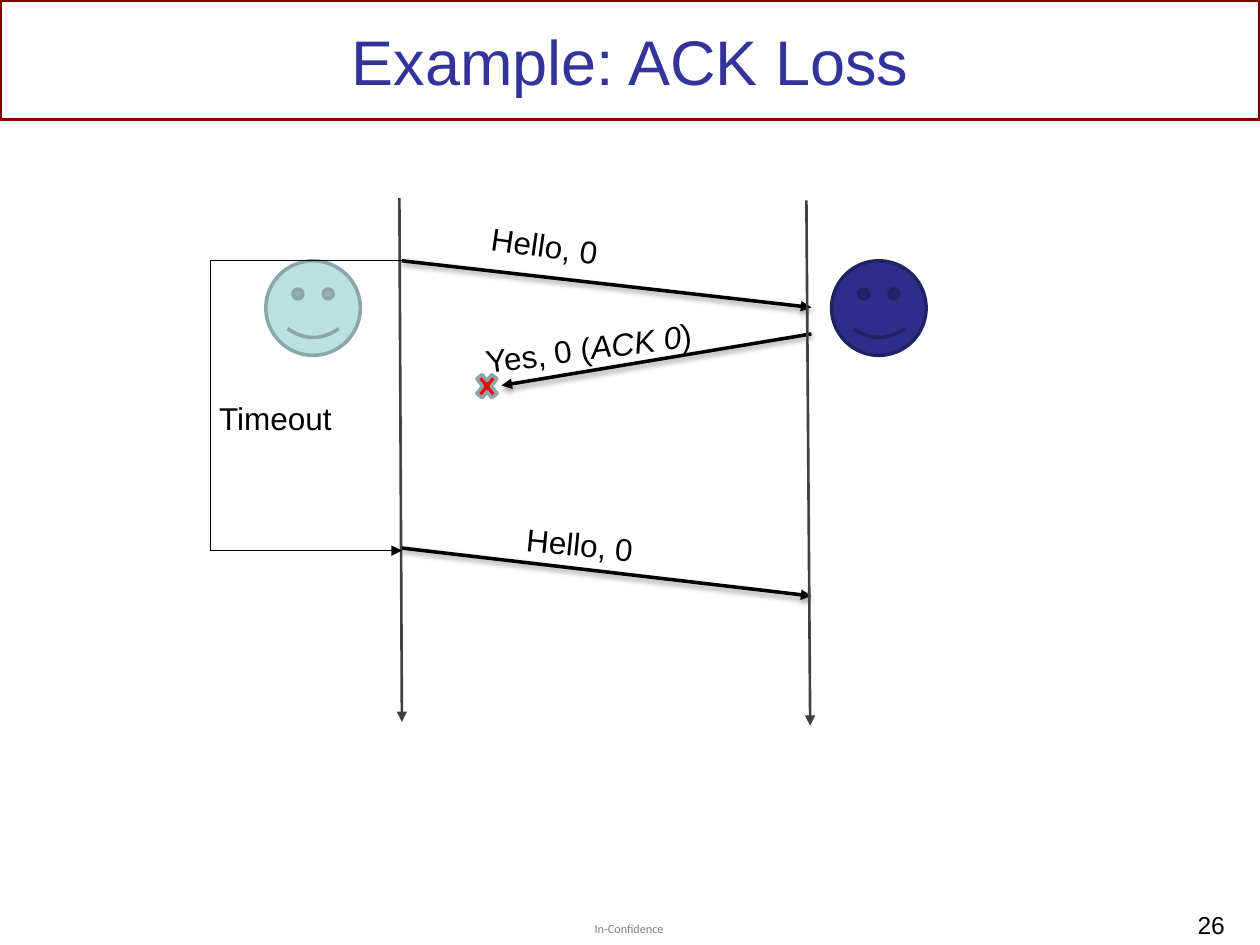
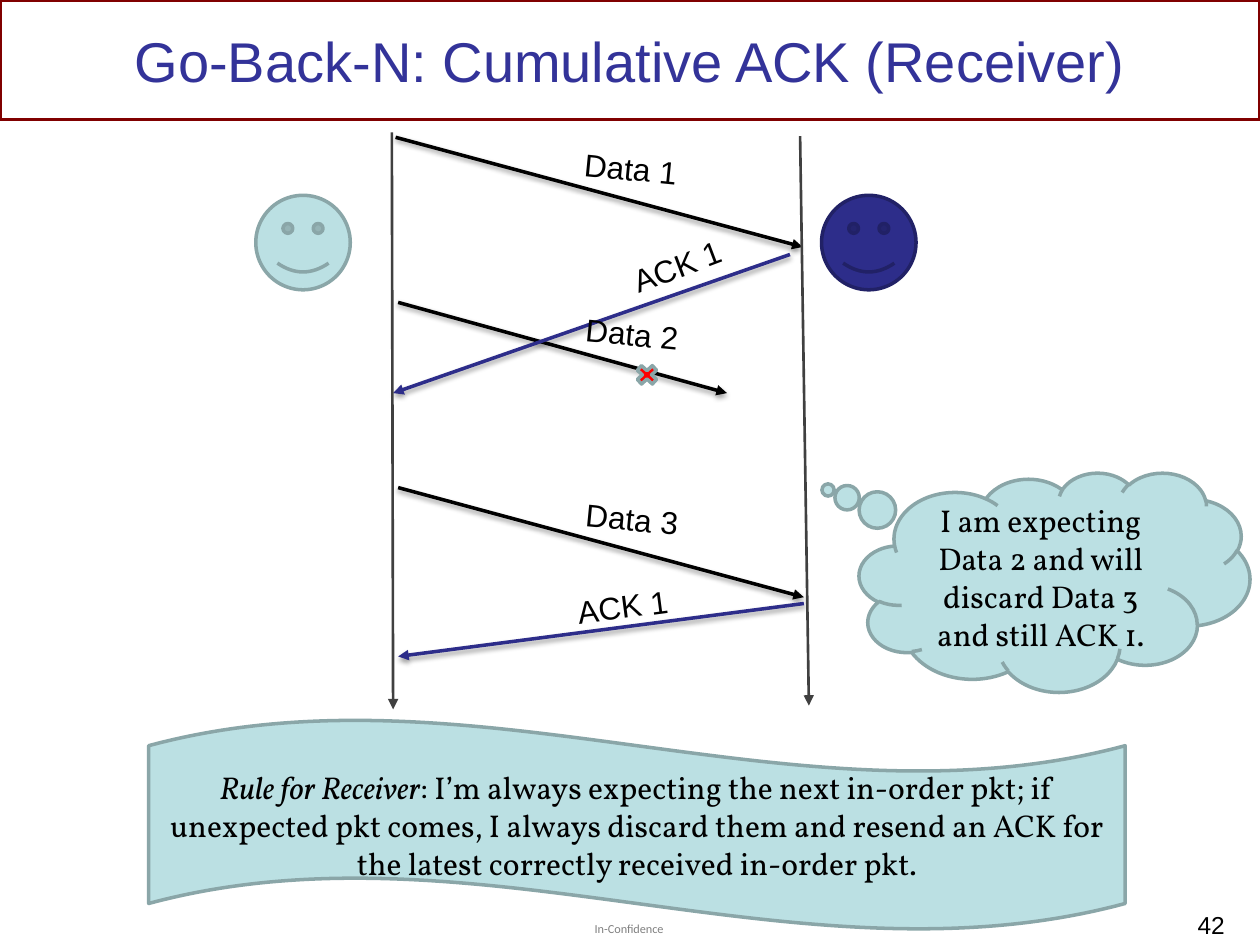
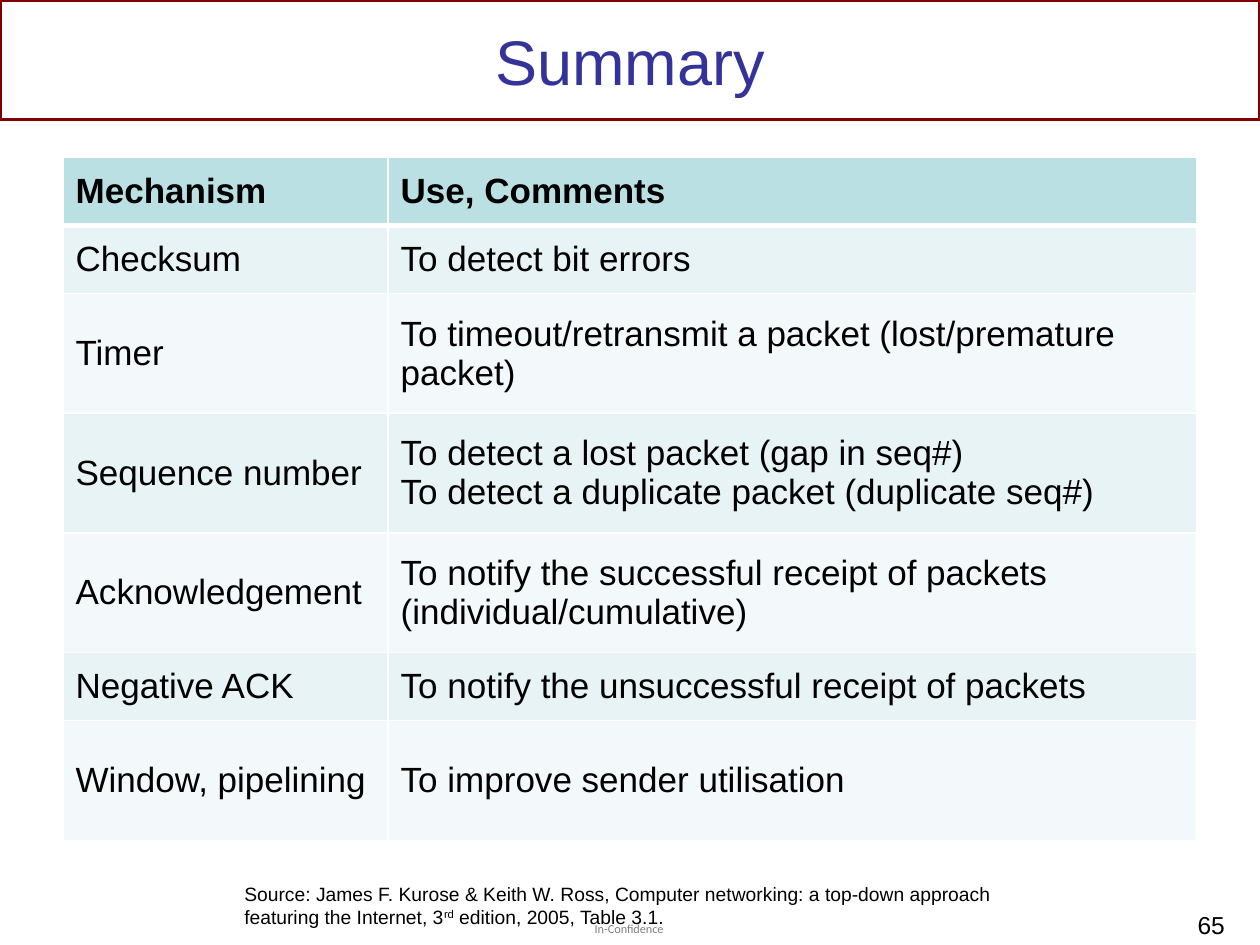
from lxml.etree import SubElement
from pptx import Presentation
from pptx.dml.color import RGBColor
from pptx.enum.shapes import MSO_CONNECTOR, MSO_SHAPE
from pptx.enum.text import MSO_ANCHOR, PP_ALIGN
from pptx.oxml import parse_xml
from pptx.oxml.ns import nsdecls, qn
from pptx.util import Inches, Pt

BLACK = RGBColor(0x00, 0x00, 0x00)
WHITE = RGBColor(0xFF, 0xFF, 0xFF)
GREY = RGBColor(0x80, 0x80, 0x80)
DARK = RGBColor(0x40, 0x40, 0x40)
MAROON = RGBColor(0x80, 0x00, 0x00)
INDIGO = RGBColor(0x33, 0x33, 0x99)
NAVY = RGBColor(0x2D, 0x2D, 0x8A)
NAVY_EDGE = RGBColor(0x21, 0x21, 0x66)
TEAL = RGBColor(0xBB, 0xE0, 0xE3)
TEAL_EDGE = RGBColor(0x8A, 0xA6, 0xA8)
RED = RGBColor(0xFF, 0x00, 0x00)
BANDS = (RGBColor(0xE7, 0xF3, 0xF4), RGBColor(0xF3, 0xF9, 0xFA))

FACE = 0.75

# Content: messages are (from, to, colour), labels are (runs, box, turn)
LOSS = {
    "faces": [(2.11, 2.07, TEAL, TEAL_EDGE), (6.6, 2.07, NAVY, NAVY_EDGE)],
    "messages": [
        ((3.19, 2.07), (6.44, 2.44), BLACK),
        ((6.44, 2.65), (3.98, 3.06), BLACK),
        ((3.19, 4.35), (6.44, 4.73), BLACK),
    ],
    "labels": [
        ([("Hello, 0", "")], (3.8, 1.75, 1.06, 0.4), 8.3),
        ([("Yes, 0 (", ""), ("ACK 0", "italic"), (")", "")],
         (3.75, 2.56, 1.86, 0.4), -7.6),
        ([("Hello, 0", "")], (4.08, 4.12, 1.06, 0.4), 5.7),
        ([("Timeout", "")], (1.64, 3.12, 1.1, 0.4), 0),
    ],
    "cross": (3.75, 2.92, 0.23, 0.29),
    "times": [((3.17, 1.57), (3.19, 5.73)), ((6.4, 1.59), (6.43, 5.76))],
}
WAIT = [(3.19, 2.07), (1.67, 2.07), (1.67, 4.37), (3.19, 4.37)]

GOBACK = {
    "faces": [(2.03, 1.55, TEAL, TEAL_EDGE), (6.52, 1.55, NAVY, NAVY_EDGE)],
    "messages": [
        ((3.14, 1.09), (6.37, 1.96), BLACK),
        ((3.16, 2.4), (5.77, 3.12), BLACK),
        ((3.16, 3.87), (6.38, 4.74), BLACK),
        ((6.38, 4.79), (3.16, 5.21), NAVY),
        ((6.27, 2.02), (3.12, 3.12), NAVY),
    ],
    "labels": [
        ([("Data 1", "")], (4.54, 1.14, 1, 0.4), 5.7),
        ([("Data 2", "")], (4.55, 2.45, 1, 0.4), 5.7),
        ([("Data 3", "")], (4.55, 3.92, 1, 0.4), 5.7),
        ([("ACK 1", "")], (4.48, 4.59, 1.27, 0.4), -7.5),
        ([("ACK 1", "")], (4.9, 1.85, 1.27, 0.4), -20.7),
    ],
    "cross": (5.02, 2.87, 0.23, 0.21),
    "times": [((3.11, 1.05), (3.12, 5.63)), ((6.35, 1.08), (6.42, 5.6))],
}
THOUGHT = [("I am expecting Data 2 and will discard Data 3 and still ACK 1.", "")]
RULE = [
    ("Rule for Receiver", "italic"),
    (": I’m always expecting the next in-order pkt; if unexpected pkt comes, "
     "I always discard them and resend an ACK for the latest correctly "
     "received in-order pkt.", ""),
]

COLS = (2.58, 6.42)
ROWS = [
    (0.54, "Mechanism", "Use, Comments"),
    (0.54, "Checksum", "To detect bit errors"),
    (0.95, "Timer", "To timeout/retransmit a packet (lost/premature packet)"),
    (0.95, "Sequence number", "To detect a lost packet (gap in seq#)\n"
                              "To detect a duplicate packet (duplicate seq#)"),
    (0.95, "Acknowledgement", "To notify the successful receipt of packets "
                              "(individual/cumulative)"),
    (0.54, "Negative ACK", "To notify the unsuccessful receipt of packets"),
    (0.95, "Window, pipelining", "To improve sender utilisation"),
]
SOURCE = [
    ("Source: James F. Kurose & Keith W. Ross, Computer networking: a top-down "
     "approach featuring the Internet, 3", ""),
    ("rd", "super"),
    (" edition, 2005, Table 3.1.", ""),
]


def inch(values):
    return [Inches(v) for v in values]


def style(font, size, color=BLACK, name="Arial", bold=False):
    looks = {"size": Pt(size), "name": name, "bold": bold}
    for key, value in looks.items():
        setattr(font, key, value)
    font.color.rgb = color


def write(frame, runs, size, align=PP_ALIGN.LEFT, **looks):
    para = frame.paragraphs[0]
    para.alignment = align
    for text, kind in runs:
        run = para.add_run()
        run.text = text
        style(run.font, size, **looks)
        if kind == "italic":
            run.font.italic = True
        elif kind == "super":
            run.font._element.set("baseline", "30000")
    return para


def add_text(slide, box, runs, size, wrap=True, turn=0, inset=None, **looks):
    shape = slide.shapes.add_textbox(*inch(box))
    shape.rotation = turn
    frame = shape.text_frame
    frame.word_wrap = wrap
    if inset is not None:
        for side in ("left", "top", "right", "bottom"):
            setattr(frame, "margin_" + side, Inches(inset))
    return write(frame, runs, size, **looks)


def add_shape(slide, kind, box, fill, edge):
    shape = slide.shapes.add_shape(kind, *inch(box))
    shape.shadow.inherit = False
    if fill is None:
        shape.fill.background()
    else:
        shape.fill.solid()
        shape.fill.fore_color.rgb = fill
    shape.line.color.rgb = edge
    shape.line.width = Pt(2)
    return shape


def add_line(slide, start, end, color, width, arrow=True, shadow=False):
    line = slide.shapes.add_connector(MSO_CONNECTOR.STRAIGHT, *inch(start + end))
    line.line.color.rgb = color
    line.line.width = Pt(width)
    if arrow:
        SubElement(line.line._get_or_add_ln(), qn("a:tailEnd"), type="triangle")
    effect = SubElement(line._element.spPr, qn("a:effectLst"))
    if shadow:
        drop = SubElement(effect, qn("a:outerShdw"), blurRad=str(Pt(3.1)),
                          dist=str(Pt(1.6)), dir="5400000", rotWithShape="0")
        tone = SubElement(drop, qn("a:srgbClr"), val=str(BLACK))
        SubElement(tone, qn("a:alpha"), val="38000")


def add_slide(deck, title, number, box=(0.5, 0.08, 9, 0.79), size=36):
    slide = deck.slides.add_slide(deck.slide_layouts[5])
    add_shape(slide, MSO_SHAPE.RECTANGLE, (0, 0, 10, 0.95), None, MAROON)
    add_text(slide, (4.72, 7.31, 0.57, 0.12), [("In-Confidence", "")], 7,
             wrap=False, inset=0, color=GREY, name="Calibri")
    add_text(slide, (7.62, 7.17, 2.2, 0.3), [(number, "")], 14,
             align=PP_ALIGN.RIGHT)
    head = slide.shapes.title
    head.left, head.top, head.width, head.height = inch(box)
    head.text_frame.vertical_anchor = MSO_ANCHOR.MIDDLE
    write(head.text_frame, [(title, "")], size, PP_ALIGN.CENTER, color=INDIGO)
    return slide


def draw_flow(slide, flow):
    for left, top, fill, edge in flow["faces"]:
        add_shape(slide, MSO_SHAPE.SMILEY_FACE, (left, top, FACE, FACE), fill, edge)
    for start, end, color in flow["messages"]:
        add_line(slide, start, end, color, 2, shadow=True)
    for runs, box, turn in flow["labels"]:
        add_text(slide, box, runs, 18, wrap=False, turn=turn)
    add_shape(slide, MSO_SHAPE.MATH_MULTIPLY, flow["cross"], RED, TEAL_EDGE)
    for start, end in flow["times"]:
        add_line(slide, start, end, DARK, 1.5)


def add_note(slide, kind, box, runs):
    note = add_shape(slide, kind, box, TEAL, TEAL_EDGE)
    note.text_frame.word_wrap = True
    note.text_frame.vertical_anchor = MSO_ANCHOR.MIDDLE
    write(note.text_frame, runs, 18, PP_ALIGN.CENTER, name="Vollkorn")
    return note


def set_edges(cell, top, bottom):
    props = cell._tc.get_or_add_tcPr()
    widths = {"lnL": 1, "lnR": 1, "lnT": top, "lnB": bottom}
    for spot, (tag, width) in enumerate(widths.items()):
        props.insert(spot, parse_xml(
            f'<a:{tag} {nsdecls("a")} w="{Pt(width)}"><a:solidFill>'
            f'<a:srgbClr val="{WHITE}"/></a:solidFill></a:{tag}>'))


def draw_table(slide):
    high = sum(row[0] for row in ROWS)
    grid = slide.shapes.add_table(len(ROWS), len(COLS),
                                  *inch((0.5, 1.25, sum(COLS), high))).table
    for col, width in zip(grid.columns, COLS):
        col.width = Inches(width)
    for r, (height, *texts) in enumerate(ROWS):
        grid.rows[r].height = Inches(height)
        for c, text in enumerate(texts):
            cell = grid.cell(r, c)
            cell.text = text
            cell.vertical_anchor = MSO_ANCHOR.MIDDLE
            cell.fill.solid()
            cell.fill.fore_color.rgb = BANDS[(r - 1) % 2] if r else TEAL
            set_edges(cell, 3 if r == 1 else 1, 3 if r == 0 else 1)
            for para in cell.text_frame.paragraphs:
                for run in para.runs:
                    style(run.font, 20, bold=r == 0)


def main():
    deck = Presentation()
    deck.slide_width, deck.slide_height = Inches(10), Inches(7.5)

    # Lost acknowledgement with the timeout bracket
    slide = add_slide(deck, "Example: ACK Loss", "26")
    draw_flow(slide, LOSS)
    for start, end in zip(WAIT, WAIT[1:]):
        add_line(slide, start, end, BLACK, 0.75, arrow=end == WAIT[-1])

    # Cumulative acknowledgement
    slide = add_slide(deck, "Go-Back-N: Cumulative ACK (Receiver)", "42",
                      (0, 0.08, 10, 0.79), 32)
    draw_flow(slide, GOBACK)
    cloud = add_note(slide, MSO_SHAPE.CLOUD_CALLOUT, (6.82, 3.75, 3.1, 1.74), THOUGHT)
    cloud.adjustments[0], cloud.adjustments[1] = -0.58, -0.42
    add_note(slide, MSO_SHAPE.WAVE, (1.18, 5.71, 7.75, 1.67), RULE)

    # Summary table and its source
    slide = add_slide(deck, "Summary", "65")
    draw_table(slide)
    para = add_text(slide, (1.84, 6.95, 6.31, 0.47), SOURCE, 11)
    para.space_after = Pt(6)

    deck.save("out.pptx")


if __name__ == "__main__":
    main()
